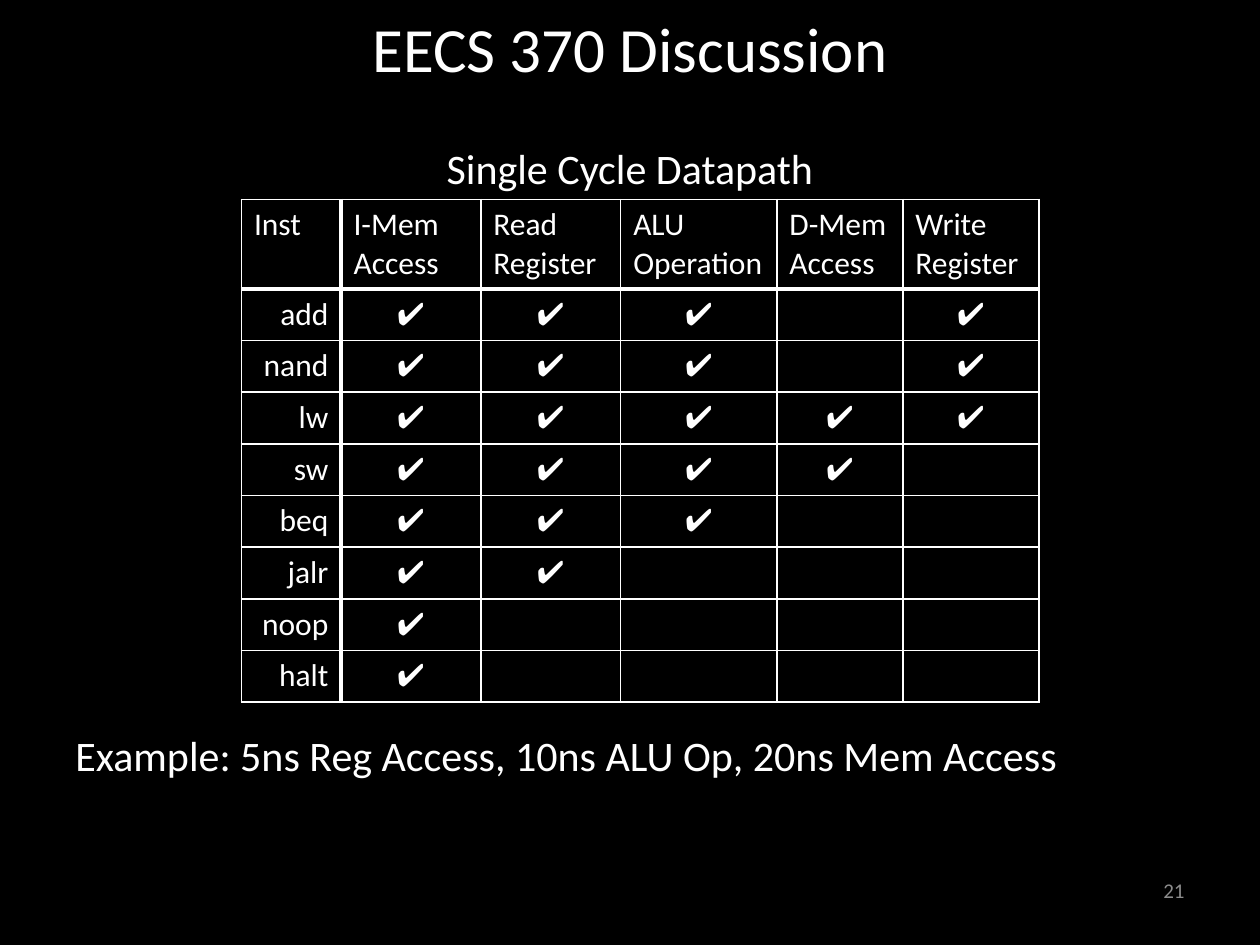
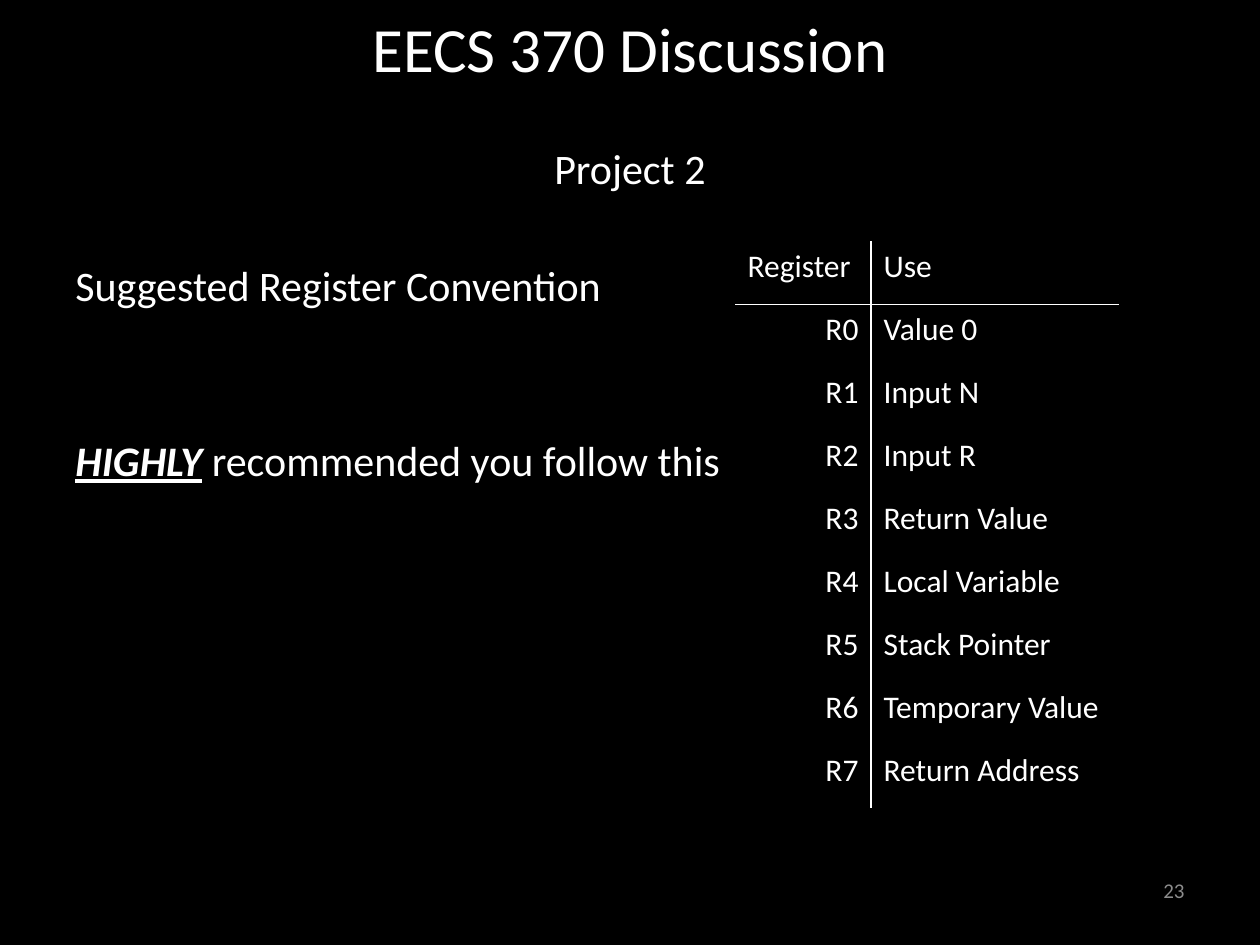
"""Build two discussion slides, each with a text body and a ruled table."""
from dataclasses import dataclass

from lxml import etree
from pptx import Presentation
from pptx.dml.color import RGBColor
from pptx.enum.text import MSO_ANCHOR, PP_ALIGN
from pptx.oxml.ns import qn
from pptx.util import Inches, Pt

LEFT, CENTER, RIGHT = PP_ALIGN.LEFT, PP_ALIGN.CENTER, PP_ALIGN.RIGHT
TOP, MIDDLE = MSO_ANCHOR.TOP, MSO_ANCHOR.MIDDLE
NO_STYLE = "{2D5ABB26-0587-4C30-8999-92F81FD0307C}"


@dataclass(frozen=True)
class Theme:
    font: str = "Calibri"
    back: str = "000000"
    ink: str = "FFFFFF"
    muted: str = "8C8C8C"
    title: int = 36
    body: int = 24
    cell: int = 18
    number: int = 12
    gap: float = 4.3
    pitch: float = 33.6
    thin: int = 1
    thick: int = 3


T = Theme()
W, H = Inches(10), Inches(7.5)
COLS, ROWS = 120, 90
TITLE_BOX = (6, -3, 108, 15)
BODY_BOX = (6, 13, 108, 71)
NUMBER_BOX = (86, 82.4, 28, 4.8)

TITLE = "EECS 370 Discussion"
STAGES = ["I-Mem Access", "Read Register", "ALU Operation", "D-Mem Access", "Write Register"]
USED_STAGES = {
    "add": (0, 1, 2, 4),
    "nand": (0, 1, 2, 4),
    "lw": (0, 1, 2, 3, 4),
    "sw": (0, 1, 2, 3),
    "beq": (0, 1, 2),
    "jalr": (0, 1),
    "noop": (0,),
    "halt": (0,),
}
REGISTER_USES = ["Value 0", "Input N", "Input R", "Return Value", "Local Variable",
                 "Stack Pointer", "Temporary Value", "Return Address"]

SLIDES = [
    {
        "number": "21",
        "body": [
            (CENTER, 0, [("Single Cycle Datapath", False)]),
            (LEFT, 9, [("Example: 5ns Reg Access, 10ns ALU Op, 20ns Mem Access", False)]),
        ],
        "table": {
            "at": (23, 19),
            "widths": [0.79, 1.11, 1.11, 1.24, 1, 1.08],
            "heights": (0.71, 0.41),
            "align": CENTER,
            "outer": T.thin, "inner": T.thin, "head": T.thick, "stub": T.thick,
            "rows": [["Inst"] + STAGES] + [
                [inst] + ["✔" if i in used else "" for i in range(len(STAGES))]
                for inst, used in USED_STAGES.items()],
        },
    },
    {
        "number": "23",
        "body": [
            (CENTER, 0, [("Project 2", False)]),
            (LEFT, 1, [("Suggested Register Convention", False)]),
            (LEFT, 2, [("HIGHLY", True), (" recommended you follow this", False)]),
        ],
        "table": {
            "at": (70, 23),
            "widths": [1.08, 1.97],
            "heights": (0.5, 0.5),
            "align": LEFT,
            "outer": 0, "inner": 0, "head": T.thin, "stub": T.thin,
            "rows": [["Register", "Use"]] + [
                [f"R{i}", use] for i, use in enumerate(REGISTER_USES)],
        },
    },
]


def grid(x, y, w=0, h=0):
    return [int(v) for v in (W * x / COLS, H * y / ROWS, W * w / COLS, H * h / ROWS)]


def add_run(p, text, size, color=T.ink, strong=False):
    r = p.add_run()
    r.text = text
    f = r.font
    f.name, f.size = T.font, Pt(size)
    f.color.rgb = RGBColor.from_string(color)
    if strong:
        f.bold = f.italic = f.underline = True


def add_text(s, box, paras, size, color=T.ink, anchor=MIDDLE, gap=0):
    tf = s.shapes.add_textbox(*grid(*box)).text_frame
    tf.word_wrap, tf.vertical_anchor = True, anchor
    for i, (align, skipped, runs) in enumerate(paras):
        p = tf.add_paragraph() if i else tf.paragraphs[0]
        p.alignment = align
        p.space_before = Pt(round(gap + skipped * T.pitch, 1))
        for text, strong in runs:
            add_run(p, text, size, color, strong)


def set_borders(cell, widths):
    tc_pr = cell._tc.get_or_add_tcPr()
    for side, width in zip("LRTB", widths):
        ln = etree.SubElement(tc_pr, qn(f"a:ln{side}"), w=str(Pt(width)))
        if width:
            fill = etree.SubElement(ln, qn("a:solidFill"))
            etree.SubElement(fill, qn("a:srgbClr"), val=T.ink)
        else:
            etree.SubElement(ln, qn("a:noFill"))


def rules(count, outer, first, inner):
    return [outer, first] + [inner] * (count - 2) + [outer]


def add_table(s, spec_):
    rows, widths = spec_["rows"], spec_["widths"]
    head_h, row_h = spec_["heights"]
    heights = [head_h] + [row_h] * (len(rows) - 1)
    x, y = grid(*spec_["at"])[:2]
    table = s.shapes.add_table(len(rows), len(widths), x, y,
                               Inches(sum(widths)), Inches(sum(heights))).table
    table._tbl.tblPr.find(qn("a:tableStyleId")).text = NO_STYLE
    table.first_row = table.horz_banding = False
    for col, w in zip(table.columns, widths):
        col.width = Inches(w)
    for row, h in zip(table.rows, heights):
        row.height = Inches(h)
    v = rules(len(widths), spec_["outer"], spec_["stub"], spec_["inner"])
    h = rules(len(rows), spec_["outer"], spec_["head"], spec_["inner"])
    for i, row in enumerate(rows):
        for j, text in enumerate(row):
            cell = table.cell(i, j)
            set_borders(cell, (v[j], v[j + 1], h[i], h[i + 1]))
            cell.fill.background()
            p = cell.text_frame.paragraphs[0]
            p.alignment = LEFT if i == 0 else RIGHT if j == 0 else spec_["align"]
            if text:
                add_run(p, text, T.cell)


def add_slide(prs, content):
    s = prs.slides.add_slide(prs.slide_layouts[6])
    add_text(s, TITLE_BOX, [(CENTER, 0, [(TITLE, False)])], T.title)
    add_text(s, BODY_BOX, content["body"], T.body, anchor=TOP, gap=T.gap)
    add_text(s, NUMBER_BOX, [(RIGHT, 0, [(content["number"], False)])], T.number, T.muted)
    add_table(s, content["table"])


prs = Presentation()
prs.slide_width, prs.slide_height = W, H
back = prs.slide_master.background.fill
back.solid()
back.fore_color.rgb = RGBColor.from_string(T.back)
for content in SLIDES:
    add_slide(prs, content)
prs.save("out.pptx")
